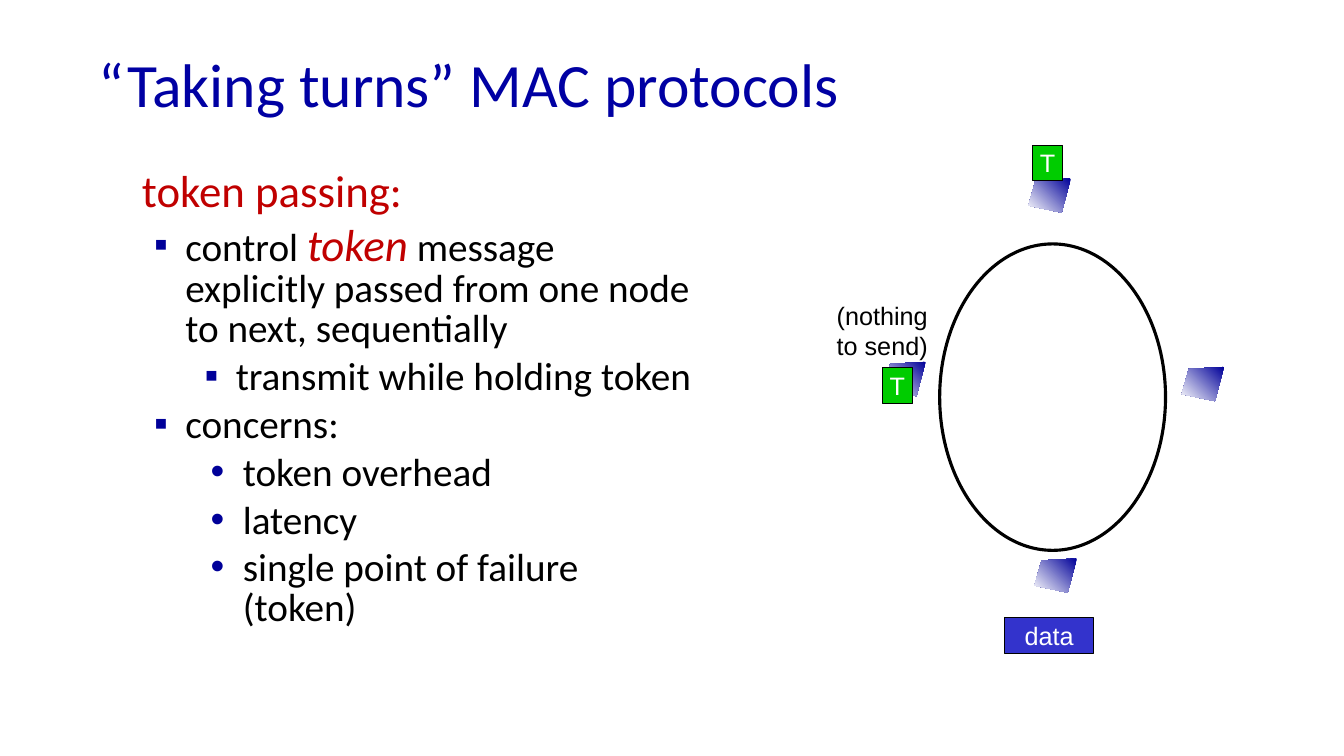
from dataclasses import dataclass

from pptx import Presentation
from pptx.dml.color import RGBColor
from pptx.enum.shapes import MSO_SHAPE
from pptx.enum.text import MSO_ANCHOR, PP_ALIGN
from pptx.oxml.ns import qn
from pptx.util import Inches, Pt
from lxml.etree import SubElement

COLORS = {
    "title": "0000A3",
    "accent": "C00000",
    "bullet": "000099",
    "node": "000099",
    "token": "00CC00",
    "data": "3333CC",
    "black": "000000",
    "white": "FFFFFF",
}


@dataclass
class Run:
    text: str
    size: float = 28
    color: str = "black"
    italic: bool = False


@dataclass
class Line:
    runs: list[Run]
    bullet: str = ""
    margin: float = 0
    hanging: float = 0
    level: int = 0


@dataclass
class Packet:
    label: str
    left: float
    top: float
    width: float
    color: str


BODY = [
    Line([Run("token passing:", 32, "accent")]),
    Line([Run("control "), Run("token", 32, "accent", True),
          Run(" message explicitly passed from one node to next, sequentially")],
         "▪", 0.43, 0.31),
    Line([Run("transmit while holding token")], "▪", 0.93, 0.31, 1),
    Line([Run("concerns:")], "▪", 0.43, 0.31),
    *(Line([Run(concern)], "•", 1, 0.32, 1)
      for concern in ("token overhead", "latency", "single point of failure (token)")),
]
# Right, left, top and bottom stations on the ring
NODES = [(11.72, 3.64), (8.76, 3.59), (10.2, 1.77), (10.26, 5.54)]
NODE_OUTLINE = [(0.42, 0), (0.07, 0.02), (0, 0.27), (0.33, 0.34)]
PACKETS = [
    Packet("T", 10.24, 1.44, 0.3, "token"),
    Packet("data", 9.96, 6.13, 0.89, "data"),
    Packet("T", 8.75, 3.65, 0.3, "token"),
]


def rgb(name: str) -> RGBColor:
    return RGBColor.from_string(COLORS[name])


def style_font(font, name: str, size: float, color: str) -> None:
    font.name = name
    font.size = Pt(size)
    font.color.rgb = rgb(color)


def add_text(slide, left: float, top: float, width: float, height: float, wrap: bool = True):
    shape = slide.shapes.add_textbox(Inches(left), Inches(top), Inches(width), Inches(height))
    shape.text_frame.word_wrap = wrap
    return shape.text_frame


def add_bullet(paragraph, line: Line) -> None:
    properties = paragraph._p.get_or_add_pPr()
    properties.set("marL", str(Inches(line.margin)))
    properties.set("indent", str(-Inches(line.hanging)))
    color = SubElement(properties, qn("a:buClr"))
    SubElement(color, qn("a:srgbClr"), val=COLORS["bullet"])
    SubElement(properties, qn("a:buFont"), typeface="Arial")
    SubElement(properties, qn("a:buChar"), char=line.bullet)


def add_body(slide) -> None:
    frame = add_text(slide, 1.31, 1.65, 5.68, 5.08)
    for index, line in enumerate(BODY):
        paragraph = frame.add_paragraph() if index else frame.paragraphs[0]
        paragraph.level = line.level
        if line.bullet:
            add_bullet(paragraph, line)
        paragraph.line_spacing = 0.85
        if index:
            paragraph.space_before = Pt(5.6)
        for part in line.runs:
            run = paragraph.add_run()
            run.text = part.text
            style_font(run.font, "Calibri", part.size, part.color)
            run.font.italic = part.italic


def add_node(slide, left: float, top: float) -> None:
    corners = [(Inches(left + x), Inches(top + y)) for x, y in NODE_OUTLINE]
    builder = slide.shapes.build_freeform(*corners[0])
    builder.add_line_segments(corners[1:], close=True)
    shape = builder.convert_to_shape()
    shape.shadow.inherit = False
    shape.line.fill.background()
    shape.fill.gradient()
    shape.fill.gradient_angle = 225
    for stop, position, color in zip(shape.fill.gradient_stops, (0, 1), ("node", "white")):
        stop.position = position
        stop.color.rgb = rgb(color)


def add_outlined(slide, kind: MSO_SHAPE, left: float, top: float,
                 width: float, height: float, weight: float):
    shape = slide.shapes.add_shape(
        kind, Inches(left), Inches(top), Inches(width), Inches(height))
    shape.shadow.inherit = False
    shape.line.color.rgb = rgb("black")
    shape.line.width = Pt(weight)
    return shape


def add_packet(slide, packet: Packet) -> None:
    shape = add_outlined(slide, MSO_SHAPE.RECTANGLE, packet.left, packet.top,
                         packet.width, 0.35, 0.75)
    shape.fill.solid()
    shape.fill.fore_color.rgb = rgb(packet.color)
    frame = shape.text_frame
    frame.word_wrap = False
    frame.vertical_anchor = MSO_ANCHOR.MIDDLE
    frame.text = packet.label
    paragraph = frame.paragraphs[0]
    paragraph.alignment = PP_ALIGN.CENTER
    style_font(paragraph.runs[0].font, "Arial", 18, "white")


def main() -> None:
    presentation = Presentation()
    presentation.slide_width = Inches(13.33)
    presentation.slide_height = Inches(7.5)
    slide = presentation.slides.add_slide(presentation.slide_layouts[6])

    # Title and explanation
    title = add_text(slide, 0.88, 0.38, 11.5, 0.98)
    title.vertical_anchor = MSO_ANCHOR.MIDDLE
    title.text = "“Taking turns” MAC protocols"
    title.paragraphs[0].line_spacing = 0.9
    style_font(title.paragraphs[0].runs[0].font, "Calibri", 44, "title")
    add_body(slide)

    # Token ring
    for left, top in NODES:
        add_node(slide, left, top)
    ring = add_outlined(slide, MSO_SHAPE.OVAL, 9.32, 2.42, 2.24, 3.04, 2.25)
    ring.fill.background()

    # Idle station note and packets
    note = add_text(slide, 8.2, 2.93, 1.1, 0.7, wrap=False)
    note.text = "(nothing\nto send)"
    for paragraph in note.paragraphs:
        style_font(paragraph.runs[0].font, "Arial", 18, "black")
    for packet in PACKETS:
        add_packet(slide, packet)

    presentation.save("out.pptx")


if __name__ == "__main__":
    main()
